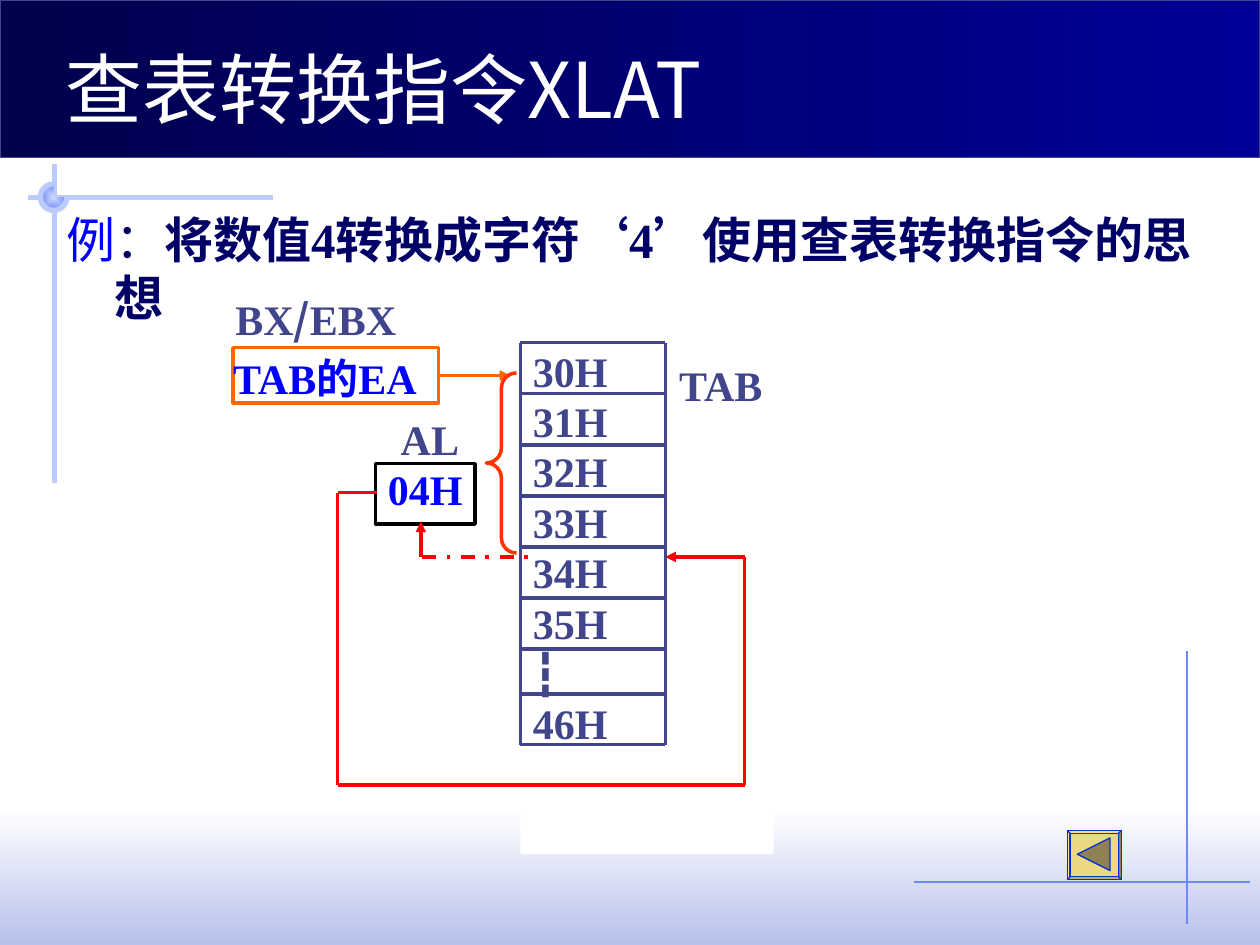
from lxml.etree import SubElement
from pptx import Presentation
from pptx.dml.color import RGBColor
from pptx.enum.dml import MSO_LINE
from pptx.enum.shapes import MSO_CONNECTOR, MSO_SHAPE
from pptx.enum.text import MSO_ANCHOR, PP_ALIGN
from pptx.oxml.ns import qn
from pptx.util import Inches, Pt

SERIF, SANS, BODY = "Times New Roman", "Noto Sans CJK SC", "Karla"
SLATE, BLUE, RED, ORANGE = "40458C", "0000FF", "FF0000", "FF6600"
WHITE, NAVY, PALE, PERIWINKLE = "FFFFFF", "000066", "BBCBFD", "6F89F7"


def color(value):
    return RGBColor.from_string(value)


class SlideBuilder:
    line_factor = 1.2

    def __init__(self, slide):
        self.slide = slide

    def outline(self, line, stroke, width):
        if stroke is None:
            line.fill.background()
        else:
            line.color.rgb = color(stroke)
            line.width = Pt(width)

    def shape(self, kind, box, fill=None, stroke=None, width=2.0):
        shape = self.slide.shapes.add_shape(kind, *map(Inches, box))
        shape.shadow.inherit = False
        if fill is None:
            shape.fill.background()
        else:
            shape.fill.solid()
            shape.fill.fore_color.rgb = color(fill)
        self.outline(shape.line, stroke, width)
        return shape

    def gradient(self, shape, start, end, angle=None):
        """Linear at the given angle, or from the centre when there is none."""
        shape.fill.gradient()
        for stop, value in zip(shape.fill.gradient_stops, (start, end)):
            stop.color.rgb = color(value)
        if angle is not None:
            shape.fill.gradient_angle = angle
            return
        gradient = shape._element.spPr.find(qn("a:gradFill"))
        gradient.remove(gradient.find(qn("a:lin")))
        center = SubElement(gradient, qn("a:path"), path="rect")
        SubElement(center, qn("a:fillToRect"), l="50000", t="50000", r="50000", b="50000")

    def line(self, start, end, stroke, width=2.0, arrow=False, dash=None):
        connector = self.slide.shapes.add_connector(
            MSO_CONNECTOR.STRAIGHT, *map(Inches, (*start, *end)))
        self.outline(connector.line, stroke, width)
        if dash:
            connector.line.dash_style = dash
        if arrow:
            SubElement(connector.line._get_or_add_ln(), qn("a:tailEnd"), type="triangle")
        SubElement(connector._element.spPr, qn("a:effectLst"))

    def add_text(self, shape, paragraphs, size, insets=(0, 0), align=PP_ALIGN.LEFT,
                 wrap=True, hanging=0):
        """Each paragraph is a list of (text, font, colour, bold) runs."""
        frame = shape.text_frame
        frame.word_wrap = wrap
        frame.vertical_anchor = MSO_ANCHOR.TOP
        side, top = map(Inches, insets)
        frame.margin_left = frame.margin_right = side
        frame.margin_top, frame.margin_bottom = top, 0
        for index, runs in enumerate(paragraphs):
            paragraph = frame.add_paragraph() if index else frame.paragraphs[0]
            paragraph.alignment = align
            paragraph.line_spacing = Pt(round(size * self.line_factor, 1))
            if hanging:
                properties = paragraph._p.get_or_add_pPr()
                properties.set("marL", str(Inches(hanging)))
                properties.set("indent", str(-Inches(hanging)))
            for text, font, value, bold in runs:
                run = paragraph.add_run()
                run.text = text
                run.font.size = Pt(size)
                run.font.name = font
                run.font.bold = bold
                run.font.color.rgb = color(value)
                SubElement(run._r.get_or_add_rPr(), qn("a:ea"), typeface=SANS)

    def textbox(self, box, paragraphs, size, **options):
        shape = self.slide.shapes.add_textbox(*map(Inches, box))
        self.add_text(shape, paragraphs, size, **options)

    def label(self, box, paragraphs, stroke=None, **options):
        shape = self.shape(MSO_SHAPE.RECTANGLE, box, WHITE, stroke)
        self.add_text(shape, paragraphs, 24, **options)

    def polygon(self, points, fill, stroke, width):
        (first_x, first_y), *others = points
        builder = self.slide.shapes.build_freeform(
            Inches(first_x), Inches(first_y), scale=1.0)
        builder.add_line_segments([(Inches(x), Inches(y)) for x, y in others], close=True)
        shape = builder.convert_to_shape()
        shape.shadow.inherit = False
        shape.fill.solid()
        shape.fill.fore_color.rgb = color(fill)
        self.outline(shape.line, stroke, width)


def draw_background(builder):
    footer = builder.shape(MSO_SHAPE.RECTANGLE, (0, 6.42, 10, 1.08), WHITE)
    builder.gradient(footer, WHITE, "B7C1EB", 270)
    builder.line((9.42, 5.17), (9.42, 7.33), PERIWINKLE, 0.75)
    builder.line((2.17, 1.57), (0.22, 1.57), PALE, 3)
    builder.line((0.43, 1.3), (0.43, 3.83), PALE, 3)

    # Three-quarter disc on the crossing; the arc leaves the radii unlined
    disc_box = (0.32, 1.46, 0.21, 0.21)
    disc = builder.shape(MSO_SHAPE.PIE, disc_box, PALE)
    builder.gradient(disc, "CFDBFD", PERIWINKLE)
    arc = builder.shape(MSO_SHAPE.ARC, disc_box, None, PALE, 3)
    arc.adjustments[0], arc.adjustments[1] = 0, 162

    header = builder.shape(MSO_SHAPE.RECTANGLE, (0, 0, 10, 1.25), NAVY, SLATE, 0.75)
    builder.gradient(header, "000099", "00004C", 180)
    builder.line((7.25, 7), (9.92, 7), PERIWINKLE, 0.75)


def draw_lookup(builder):
    # Table contents and labels
    codes = ["30H", "31H", "32H", "33H", "34H", "35H", "┇", "46H"]
    builder.label((4.13, 2.69, 2.01, 4.09),
                  [[(code, SERIF, SLATE, True)] for code in codes], insets=(0.1, 0.05))
    builder.label((5.39, 2.85, 0.75, 0.55), [[("TAB", SERIF, SLATE, True)]])
    builder.label((2.8, 3.28, 1.14, 0.87),
                  [[(" ", SERIF, SLATE, False), ("AL", SERIF, SLATE, True)]],
                  align=PP_ALIGN.CENTER)
    builder.label((2.98, 3.68, 0.79, 0.48), [[("04H", SERIF, BLUE, True)]], "000000",
                  align=PP_ALIGN.CENTER)

    # Path from the index register to the table entry
    builder.line((5.91, 4.42), (5.28, 4.42), RED, arrow=True)
    corners = [(2.99, 3.91), (2.68, 3.91), (2.68, 6.23), (5.91, 6.23), (5.91, 4.42)]
    for start, end in zip(corners, corners[1:]):
        builder.line(start, end, RED)

    # Base register
    builder.label((1.77, 2.25, 2.3, 1.09),
                  [[("BX", SERIF, SLATE, True), ("/", SANS, SLATE, True),
                    ("EBX", SERIF, SLATE, True)]], insets=(0.1, 0.08))
    builder.label((1.85, 2.76, 1.63, 0.44), [[("TAB的EA", SERIF, BLUE, True)]], ORANGE,
                  insets=(0, 0.04), wrap=False)
    builder.line((3.48, 2.98), (4.05, 2.98), ORANGE, arrow=True)

    # Offset brace and returned value
    brace = builder.shape(MSO_SHAPE.LEFT_BRACE, (3.86, 2.96, 0.24, 1.43), None, "FF3300")
    brace.adjustments[0] = 0.5
    builder.line((3.34, 4.42), (3.34, 4.14), RED, arrow=True)
    builder.line((3.35, 4.42), (4.19, 4.42), RED, dash=MSO_LINE.DASH_DOT)

    # Table grid
    left, right, top, bottom = 4.13, 5.28, 2.72, 5.91
    for x in (left, right):
        builder.line((x, top), (x, bottom), SLATE)
    even_rows = [top + 0.405 * row for row in range(7)]
    for y in even_rows + [5.51, bottom]:
        builder.line((left, y), (right, y), SLATE)


def main():
    presentation = Presentation()
    presentation.slide_width, presentation.slide_height = Inches(10), Inches(7.5)
    builder = SlideBuilder(presentation.slides.add_slide(presentation.slide_layouts[6]))

    draw_background(builder)

    # Example statement
    builder.textbox((0.43, 1.59, 9.21, 5.08),
                    [[("例", BODY, BLUE, False), ("：", BODY, NAVY, False),
                      ("将数值4转换成字符‘4’使用查表转换指令的思想", SERIF, NAVY, True)]],
                    28, insets=(0.1, 0.07), hanging=0.38)

    draw_lookup(builder)

    # Back button
    button = builder.shape(MSO_SHAPE.BEVEL, (8.47, 6.59, 0.43, 0.39), "ECD882", "0033CC", 0.75)
    button.adjustments[0] = 0.06
    builder.polygon([(8.55, 6.78), (8.81, 6.65), (8.81, 6.91)], "8E8252", "0033CC", 0.75)

    # Title
    builder.textbox((0.42, 0.23, 5.44, 0.84), [[("查表转换指令XLAT", SANS, WHITE, False)]],
                    44, insets=(0.1, 0.1), wrap=False)

    presentation.save("out.pptx")


if __name__ == "__main__":
    main()
